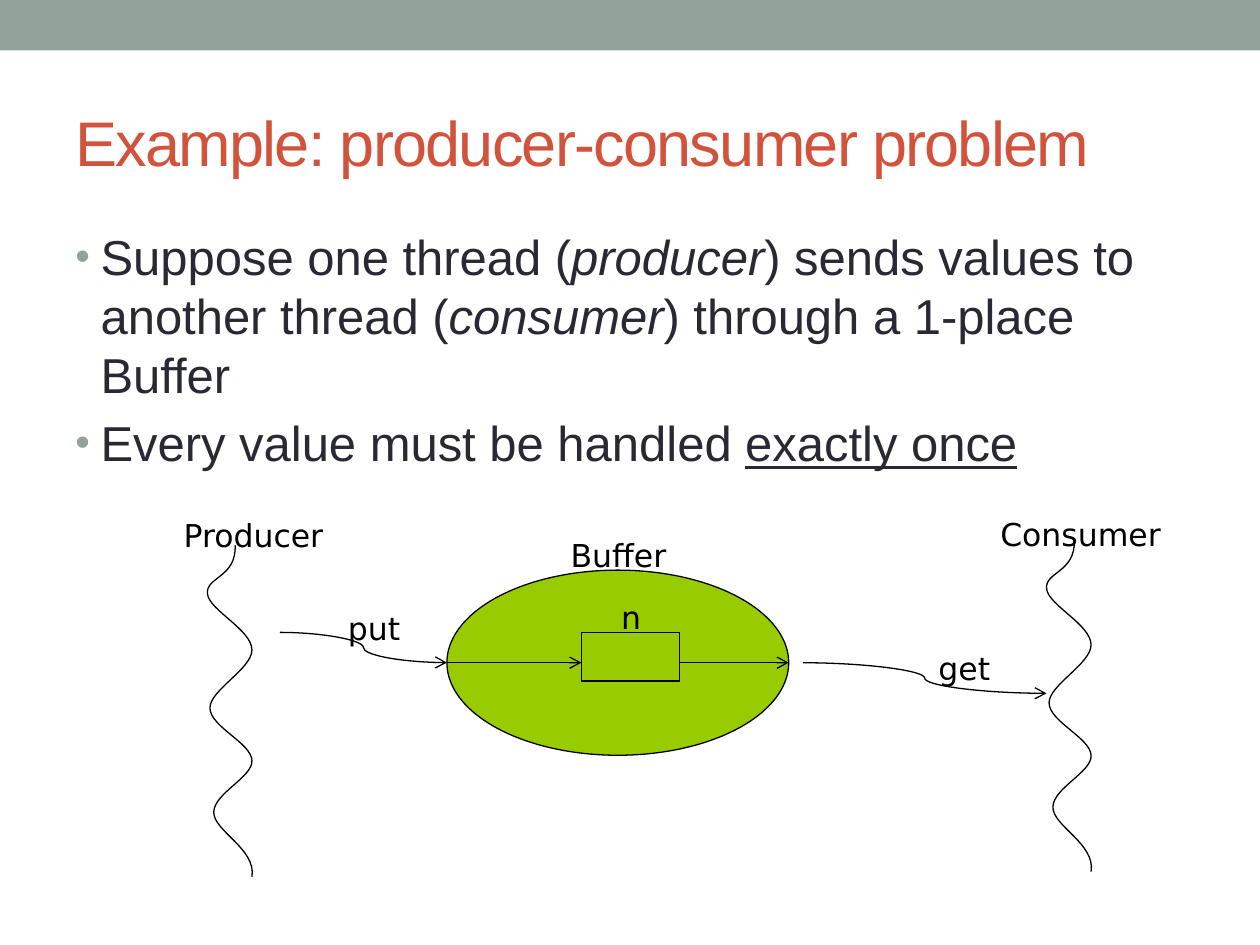
from dataclasses import dataclass

from lxml.etree import SubElement
from pptx import Presentation
from pptx.dml.color import RGBColor
from pptx.enum.shapes import MSO_CONNECTOR, MSO_SHAPE
from pptx.enum.text import MSO_ANCHOR
from pptx.oxml.ns import qn
from pptx.util import Pt

SAGE = RGBColor(0x93, 0xA2, 0x99)
RUST = RGBColor(0xD2, 0x53, 0x3C)
INK = RGBColor(0x29, 0x29, 0x34)
GREEN = RGBColor(0x99, 0xCC, 0x00)
BLACK = RGBColor(0, 0, 0)
LINE_WIDTH = Pt(0.75)


@dataclass
class Box:
    left: float
    top: float
    width: float
    height: float


@dataclass
class Label:
    text: str
    box: Box


@dataclass
class Arrow:
    kind: MSO_CONNECTOR
    start: tuple[float, float]
    end: tuple[float, float]


Point = tuple[float, float]
Run = tuple[str, str]

TITLE = Box(36, 55.4, 648, 51.1)
BODY = Box(36, 126, 648, 383.8)
BUFFER = Box(255.4, 325.8, 195.3, 105.8)
SLOT = Box(332.2, 361.4, 56, 27.8)
FLOW_Y = 378.7
BULLETS: list[list[Run]] = [
    [("Suppose one thread (", ""), ("producer", "italic"),
     (") sends values to another thread (", ""), ("consumer", "italic"),
     (") through a 1-place Buffer", "")],
    [("Every value must be handled ", ""), ("exactly once", "underline")],
]
LABELS = [
    Label("Buffer", Box(319, 302.8, 79.9, 23)),
    Label("Producer", Box(97.9, 291.3, 100.1, 23)),
    Label("Consumer", Box(564.5, 290.5, 107.3, 23)),
    Label("put", Box(191.7, 344.5, 51.1, 23)),
    Label("get", Box(529.2, 367.2, 48.2, 23)),
    Label("n", Box(347.8, 338.4, 25.2, 23)),
]
ARROWS = [
    Arrow(MSO_CONNECTOR.CURVE, (160, 361.4), (BUFFER.left, FLOW_Y)),
    Arrow(MSO_CONNECTOR.CURVE, (458.8, FLOW_Y), (598, 396.2)),
    Arrow(MSO_CONNECTOR.STRAIGHT, (BUFFER.left, FLOW_Y), (SLOT.left, FLOW_Y)),
    Arrow(MSO_CONNECTOR.STRAIGHT, (SLOT.left + SLOT.width, FLOW_Y),
          (BUFFER.left + BUFFER.width, FLOW_Y)),
]
THREAD_ORIGINS = [(118.6, 311.6), (598.1, 308.7)]
THREAD_START: Point = (15.8, 0)
# Each bend: two handles and an end point.
THREAD_BENDS: list[tuple[Point, Point, Point]] = [
    ((16.6, 18.7), (-1.4, 18), (0, 28)),
    ((1.4, 37.4), (25.2, 48.2), (25.4, 59.8)),
    ((25.4, 70.6), (1.4, 82.8), (1.4, 92.9)),
    ((1.4, 103.7), (25.2, 113), (25.4, 123.1)),
    ((25.9, 132.5), (3.6, 141.8), (3.6, 152.6)),
    ((3.6, 163.4), (28, 173.5), (25.4, 189.4)),
]


def frame(box: Box) -> tuple[Pt, Pt, Pt, Pt]:
    return Pt(box.left), Pt(box.top), Pt(box.width), Pt(box.height)


def add_run(p, text: str, *, size: float, font: str, color: RGBColor,
            italic: bool = False, underline: bool = False, spacing: int = 0) -> None:
    """Append formatted text; spacing is in hundredths of a point."""
    r = p.add_run()
    r.text = text
    r.font.size, r.font.name, r.font.color.rgb = Pt(size), font, color
    r.font.italic, r.font.underline = italic, underline
    if spacing:
        r.font._element.set("spc", str(spacing))


def add_text_frame(s, box: Box, anchor: MSO_ANCHOR = MSO_ANCHOR.TOP):
    tf = s.shapes.add_textbox(*frame(box)).text_frame
    tf.word_wrap = True
    tf.vertical_anchor = anchor
    return tf


def set_bullet(p) -> None:
    pPr = p._p.get_or_add_pPr()
    pPr.set("marL", str(Pt(14.4)))
    pPr.set("indent", str(-Pt(14.4)))
    color = SubElement(pPr, qn("a:buClr"))
    SubElement(color, qn("a:srgbClr"), val=str(SAGE))
    SubElement(pPr, qn("a:buSzPct"), val="85000")
    SubElement(pPr, qn("a:buFont"), typeface="Arial")
    SubElement(pPr, qn("a:buChar"), char="•")


def add_bullets(s) -> None:
    tf = add_text_frame(s, BODY)
    for i, runs in enumerate(BULLETS):
        p = tf.add_paragraph() if i else tf.paragraphs[0]
        p.space_before = Pt(5.6)
        set_bullet(p)
        for text, style in runs:
            add_run(p, text, size=28, font="Arial", color=INK,
                    italic=style == "italic", underline=style == "underline")


def style_line(line) -> None:
    line.color.rgb = BLACK
    line.width = LINE_WIDTH


def add_filled(s, kind: MSO_SHAPE, box: Box, fill: RGBColor, outlined: bool = True) -> None:
    sp = s.shapes.add_shape(kind, *frame(box))
    sp.shadow.inherit = False
    sp.fill.solid()
    sp.fill.fore_color.rgb = fill
    if outlined:
        style_line(sp.line)
    else:
        sp.line.fill.background()


def add_thread(s, origin: Point) -> None:
    """Draw a wavy thread: straight segments first, then bent into Bezier curves."""
    left, top = origin
    start_x, start_y = THREAD_START
    builder = s.shapes.build_freeform(Pt(left + start_x), Pt(top + start_y))
    builder.add_line_segments([(Pt(left + x), Pt(top + y)) for _, _, (x, y) in THREAD_BENDS],
                              close=False)
    sp = builder.convert_to_shape()
    for segment, bend in zip(list(sp._element.iter(qn("a:lnTo"))), THREAD_BENDS):
        outline = segment.getparent()
        curve = SubElement(outline, qn("a:cubicBezTo"))
        for x, y in bend:
            SubElement(curve, qn("a:pt"), x=str(Pt(x)), y=str(Pt(y)))
        outline.replace(segment, curve)
    sp.shadow.inherit = False
    sp.fill.background()
    style_line(sp.line)


def add_arrow(s, arrow: Arrow) -> None:
    cxn = s.shapes.add_connector(arrow.kind, *map(Pt, arrow.start + arrow.end))
    style_line(cxn.line)
    SubElement(cxn.line._get_or_add_ln(), qn("a:tailEnd"), type="arrow")
    SubElement(cxn._element.spPr, qn("a:effectLst"))


def main() -> None:
    prs = Presentation()
    prs.slide_width, prs.slide_height = Pt(720), Pt(540)
    s = prs.slides.add_slide(prs.slide_layouts[6])

    add_filled(s, MSO_SHAPE.RECTANGLE, Box(0, 0, 720, 28.8), SAGE, outlined=False)
    title = add_text_frame(s, TITLE, MSO_ANCHOR.MIDDLE)
    add_run(title.paragraphs[0], "Example: producer-consumer problem",
            size=36, font="Arial", color=RUST, spacing=-100)
    add_bullets(s)

    add_filled(s, MSO_SHAPE.OVAL, BUFFER, GREEN)
    add_filled(s, MSO_SHAPE.RECTANGLE, SLOT, GREEN)
    for origin in THREAD_ORIGINS:
        add_thread(s, origin)
    for label in LABELS:
        tf = add_text_frame(s, label.box)
        add_run(tf.paragraphs[0], label.text, size=18, font="DejaVu Sans", color=BLACK)
    for arrow in ARROWS:
        add_arrow(s, arrow)

    prs.save("out.pptx")


if __name__ == "__main__":
    main()
